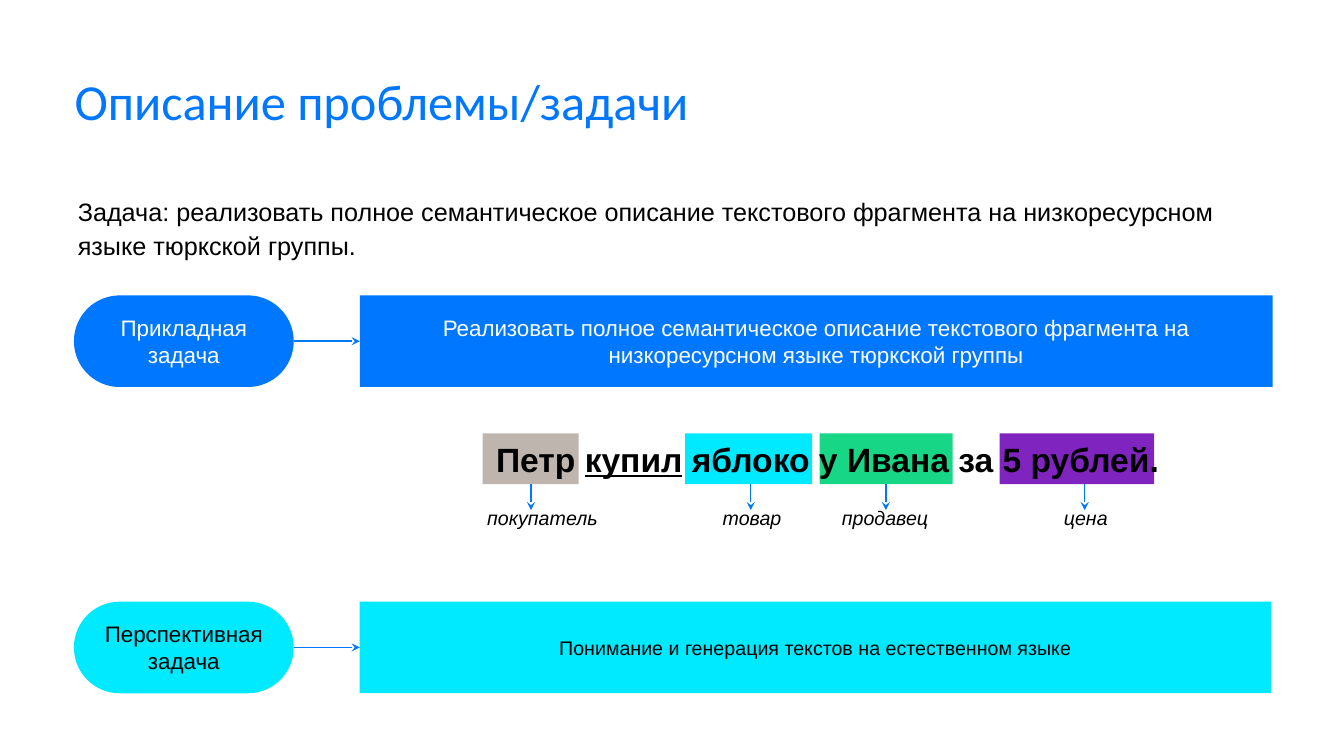
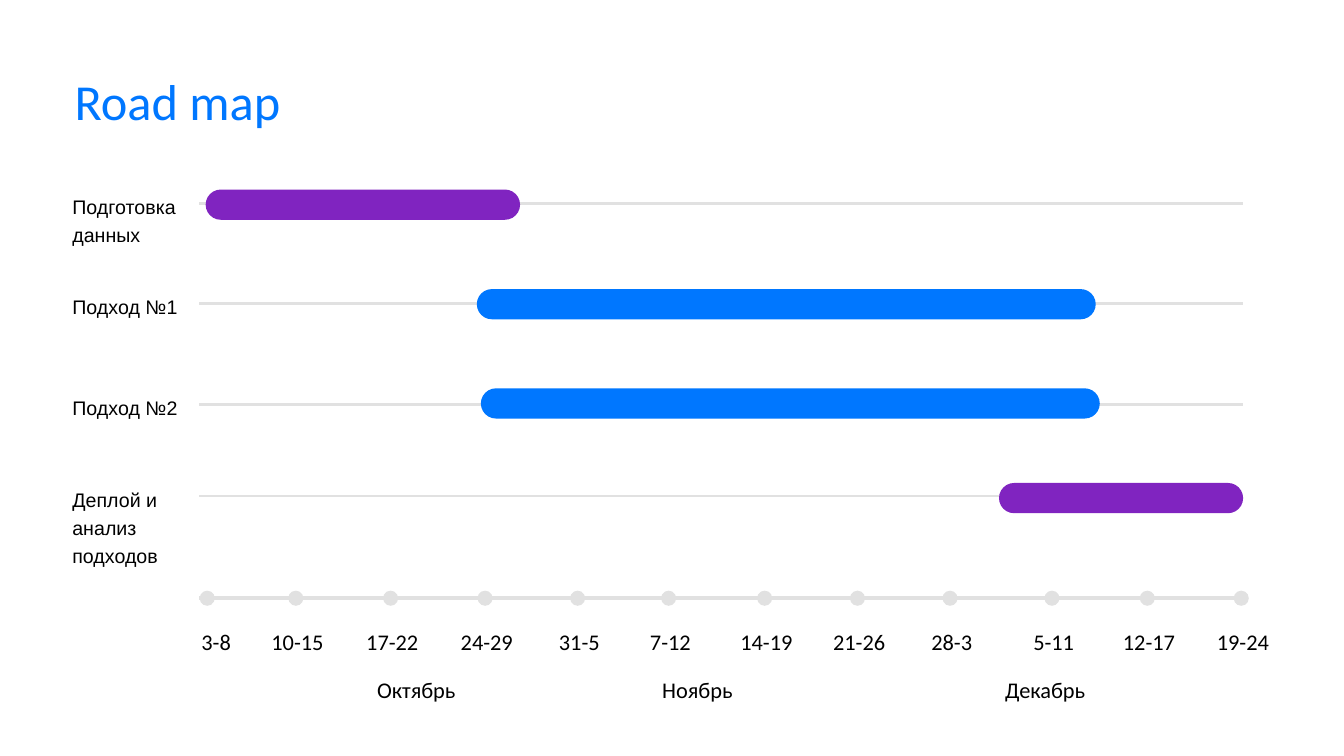
import pptx
import pptx.util
import pptx.dml.color
import pptx.enum.shapes
import pptx.enum.text
import lxml.etree

Pt = pptx.util.Pt
Kind = pptx.enum.shapes.MSO_SHAPE
Align = pptx.enum.text.PP_ALIGN
Anchor = pptx.enum.text.MSO_ANCHOR


class Theme:
    blue, cyan, violet = "0077FF", "00EAFF", "8024C0"
    green, sand, gray = "17D685", "BEB6AE", "E1E1E1"
    black, white = "000000", "FFFFFF"
    title = {"name": "Calibri", "size": Pt(36)}
    lead = {"name": "Arial", "size": Pt(18)}
    body = {"name": "Arial", "size": Pt(16)}
    small = {"name": "Arial", "size": Pt(14)}
    role = {**small, "italic": True}
    phrase = {"name": "Arial", "size": Pt(24), "bold": True}
    date = {"name": "Calibri", "size": Pt(16)}


# Content of slide 1
LEAD = ("Задача: реализовать полное семантическое описание текстового фрагмента "
        "на низкоресурсном языке тюркской группы.")
# top, fill, ink, heading, text, text style, panel width
TASKS = [
    (211, Theme.blue, Theme.white, "Прикладная задача",
     "Реализовать полное семантическое описание текстового фрагмента "
     "на низкоресурсном языке тюркской группы", Theme.body, 652),
    (429.8, Theme.cyan, Theme.black, "Перспективная задача",
     "Понимание и генерация текстов на естественном языке", Theme.small, 651),
]
PHRASE = [("Петр ", {}), ("купил", {"underline": True}),
          (" яблоко у Ивана за 5 рублей.", {})]
# role, fill, left, width, arrow x, role centre
ROLES = [
    ("покупатель", Theme.sand, 344.8, 68.5, 379.3, 387.5),
    ("товар", Theme.cyan, 489.4, 90.7, 536.3, 537.2),
    ("продавец", Theme.green, 585.5, 95, 632.8, 632.2),
    ("цена", Theme.violet, 714, 110.5, 774.8, 775.6),
]

# Content of slide 2
# label paragraphs, line y, bar top, bar left, bar width, fill
STAGES = [
    (["Подготовка", "данных"], 145.3, 135.4, 146.9, 224.6, Theme.violet),
    (["Подход №1"], 216.8, 206.5, 340.6, 442.1, Theme.blue),
    (["Подход №2"], 288.8, 277.4, 343.5, 442.1, Theme.blue),
    (["Деплой и анализ подходов"], 354.3, 345, 713.6, 174.4, Theme.violet),
]
# week, dot centre, gap from dot to label centre
WEEKS = [
    ("3-8", 148, 6.4), ("10-15", 211.3, 1.2), ("17-22", 279, 1.2),
    ("24-29", 346.5, 1.2), ("31-5", 412.6, 1.2), ("7-12", 477.6, 1.2),
    ("14-19", 546.2, 1.2), ("21-26", 612.5, 1.2), ("28-3", 678.6, 1.2),
    ("5-11", 751.4, 1.2), ("12-17", 819.5, 1.2), ("19-24", 886.6, 1.2),
]
MONTHS = [("Октябрь", 297.4), ("Ноябрь", 498.2), ("Декабрь", 746.6)]


# Shared helpers
def color(code):
    return pptx.dml.color.RGBColor.from_string(code)


def put(obj, values):
    for key, value in values.items():
        setattr(obj, key, value)


def write(frame, paras, style, ink=Theme.black, align=Align.LEFT,
          ratio=1.0, inset=(3, 3), anchor=Anchor.TOP):
    """Fill a frame; a paragraph is a string or a list of (text, format)."""
    side, edge = map(Pt, inset)
    put(frame, {"word_wrap": True, "vertical_anchor": anchor,
                "margin_left": side, "margin_right": side,
                "margin_top": edge, "margin_bottom": edge})
    for i, item in enumerate(paras):
        para = frame.add_paragraph() if i else frame.paragraphs[0]
        put(para, {"alignment": align, "line_spacing": ratio})
        for words, extra in [(item, {})] if isinstance(item, str) else item:
            run = para.add_run()
            run.text = words
            put(run.font, {**style, **extra})
            run.font.color.rgb = color(ink)


def text(slide, box, paras, style, **look):
    frame = slide.shapes.add_textbox(*map(Pt, box)).text_frame
    write(frame, paras, style, **look)


def shape(slide, kind, box, fill):
    item = slide.shapes.add_shape(kind, *map(Pt, box))
    item.shadow.inherit = False
    item.fill.solid()
    item.fill.fore_color.rgb = color(fill)
    item.line.fill.background()
    if kind == Kind.ROUNDED_RECTANGLE:
        item.adjustments[0] = 0.5
    return item


def line(slide, ends, ink, width, arrow=False):
    item = slide.shapes.add_connector(
        pptx.enum.shapes.MSO_CONNECTOR.STRAIGHT, *map(Pt, ends))
    item.line.color.rgb = color(ink)
    item.line.width = Pt(width)
    space = "{http://schemas.openxmlformats.org/drawingml/2006/main}"
    if arrow:
        lxml.etree.SubElement(item.line._get_or_add_ln(),
                              space + "tailEnd", type="stealth")
    lxml.etree.SubElement(item._element.spPr, space + "effectLst")


def page(deck, title):
    slide = deck.slides.add_slide(deck.slide_layouts[6])
    text(slide, (53.3, 54.7, 854.6, 50.4), [title], Theme.title,
         ink=Theme.blue, ratio=0.9, inset=(0, 0))
    return slide


# Slide 1: tasks and the marked phrase
def problem(deck):
    slide = page(deck, "Описание проблемы/задачи")
    text(slide, (52.6, 135.4, 856, 54), [LEAD], Theme.lead, ratio=1.1)

    left, wide, high, start = 52.8, 157, 65.4, 257
    for top, fill, ink, head, words, style, span in TASKS:
        parts = [
            (Kind.ROUNDED_RECTANGLE, left, wide, head, Theme.body),
            (Kind.RECTANGLE, start, span, words, style),
        ]
        for kind, x, width, label, font in parts:
            item = shape(slide, kind, (x, top, width, high), fill)
            write(item.text_frame, [label], font, ink=ink, align=Align.CENTER,
                  inset=(7.2, 3.6), anchor=Anchor.MIDDLE)
        mid = top + high / 2
        line(slide, (left + wide, mid, start, mid), Theme.blue, 1, True)

    top, high, label = 309.5, 36.3, 100
    for role, fill, x, width, tip, mid in ROLES:
        shape(slide, Kind.RECTANGLE, (x, top, width, high), fill)
        line(slide, (tip, top + high, tip, 364.4), Theme.blue, 1, True)
        text(slide, (mid - label / 2, 358, label, 24.5), [role], Theme.role,
             align=Align.CENTER, inset=(7.2, 3.6))
    text(slide, (286.6, 306, 609, 44), [PHRASE], Theme.phrase,
         align=Align.CENTER, inset=(7.2, 7.2))


# Slide 2: stages over a time axis
def roadmap(deck):
    slide = page(deck, "Road map")
    left, right, axis, dot = 142.4, 888, 427.3, 10.8

    for paras, y, top, x, width, fill in STAGES:
        line(slide, (left, y, right, y), Theme.gray, 2)
        shape(slide, Kind.ROUNDED_RECTANGLE, (x, top, width, 21.6), fill)
        text(slide, (48.7, y - 12.2, 93.6, 22), paras, Theme.small, ratio=1.2)

    line(slide, (left, axis, right, axis), Theme.gray, 3)
    labels = [(name, mid, 476, 130) for name, mid in MONTHS]
    for week, mid, gap in WEEKS:
        shape(slide, Kind.OVAL,
              (mid - dot / 2, axis - dot / 2, dot, dot), Theme.gray)
        labels.append((week, mid + gap, 441.5, 54))
    for words, mid, top, width in labels:
        text(slide, (mid - width / 2, top, width, 25), [words], Theme.date,
             align=Align.CENTER, ratio=1.2)


def main():
    deck = pptx.Presentation()
    put(deck, {"slide_width": Pt(960), "slide_height": Pt(540)})
    problem(deck)
    roadmap(deck)
    deck.save("out.pptx")


if __name__ == "__main__":
    main()
